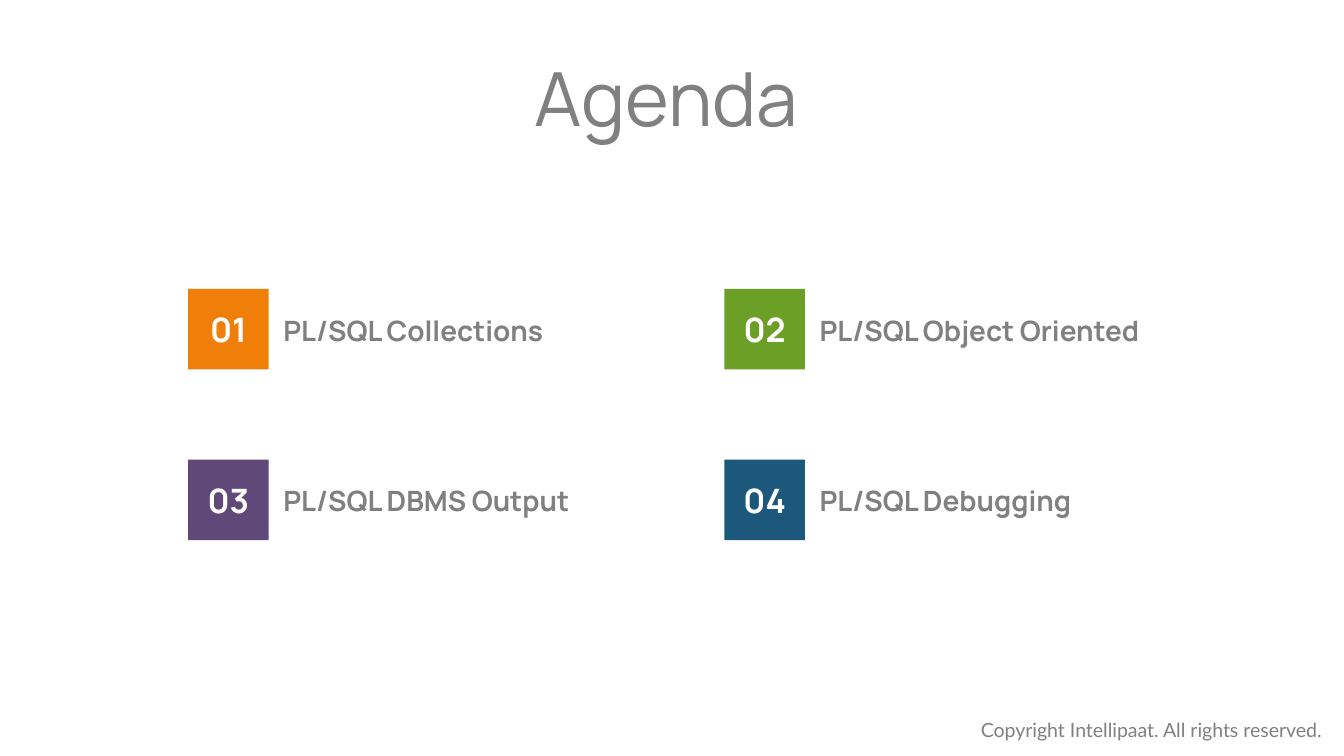
from pptx import Presentation
from pptx.dml.color import RGBColor
from pptx.enum.shapes import MSO_SHAPE
from pptx.enum.text import MSO_ANCHOR, PP_ALIGN
from pptx.util import Inches, Pt

TITLE = "Agenda"
TOPICS = [
    ("PL/SQL Collections", "F07F09"),
    ("PL/SQL Object Oriented", "6B9F25"),
    ("PL/SQL DBMS Output", "604878"),
    ("PL/SQL Debugging", "1B587C"),
]
COPYRIGHT = "Copyright Intellipaat. All rights reserved."

GRAY, WHITE = "808080", "FFFFFF"
COLUMNS = 2
GRID_LEFT, GRID_TOP = 1.4, 2.15
COLUMN_STEP, ROW_STEP = 3.99, 1.27
TILE = 0.6
LABEL_SHIFT, LABEL_DROP = 0.61, 0.13
LABEL_WIDTH, LABEL_HEIGHT = 3.3, 0.35


def color(value):
    return RGBColor.from_string(value)


def write(shape, text, size, font="Manrope", fill=GRAY, bold=False,
          align=PP_ALIGN.LEFT, anchor=MSO_ANCHOR.TOP):
    frame = shape.text_frame
    frame.word_wrap = True
    frame.vertical_anchor = anchor
    paragraph = frame.paragraphs[0]
    paragraph.alignment = align
    run = paragraph.add_run()
    run.text = text
    run.font.name = font
    run.font.size = Pt(size)
    run.font.bold = bold
    run.font.color.rgb = color(fill)
    return frame


def add_text(slide, box, text, size, **style):
    textbox = slide.shapes.add_textbox(*map(Inches, box))
    return write(textbox, text, size, **style)


def add_topic(slide, index, topic, tile_color):
    row, column = divmod(index, COLUMNS)
    left = GRID_LEFT + column * COLUMN_STEP
    top = GRID_TOP + row * ROW_STEP
    tile = slide.shapes.add_shape(
        MSO_SHAPE.RECTANGLE, *map(Inches, (left, top, TILE, TILE)))
    tile.shadow.inherit = False
    tile.fill.solid()
    tile.fill.fore_color.rgb = color(tile_color)
    tile.line.fill.background()
    write(tile, f"{index + 1:02d}", 18, fill=WHITE, bold=True,
          align=PP_ALIGN.CENTER, anchor=MSO_ANCHOR.MIDDLE)
    label_box = (left + LABEL_SHIFT, top + LABEL_DROP, LABEL_WIDTH, LABEL_HEIGHT)
    add_text(slide, label_box, topic, 15, bold=True)


def main():
    deck = Presentation()
    deck.slide_width = Inches(10)
    deck.slide_height = deck.slide_width * 9 // 16
    slide = deck.slides.add_slide(deck.slide_layouts[6])

    add_text(slide, (7.2, 5.29, 2.8, 0.28), COPYRIGHT, 10.5, font="Lato")
    heading = add_text(slide, (2.73, 0.41, 4.55, 0.63), TITLE, 40,
                       align=PP_ALIGN.CENTER)
    heading.margin_left = 0
    heading.paragraphs[0].line_spacing = 0.9
    for index, (topic, tile_color) in enumerate(TOPICS):
        add_topic(slide, index, topic, tile_color)

    deck.save("out.pptx")


if __name__ == "__main__":
    main()
